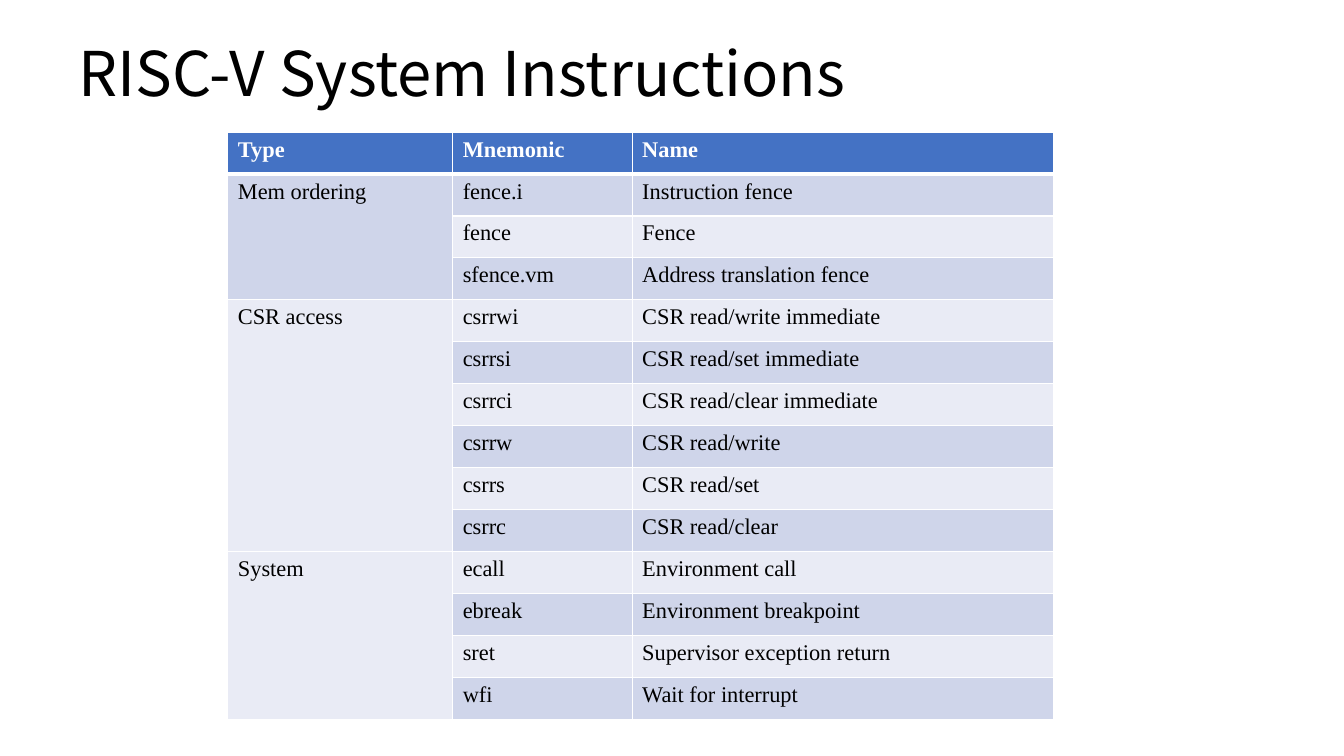
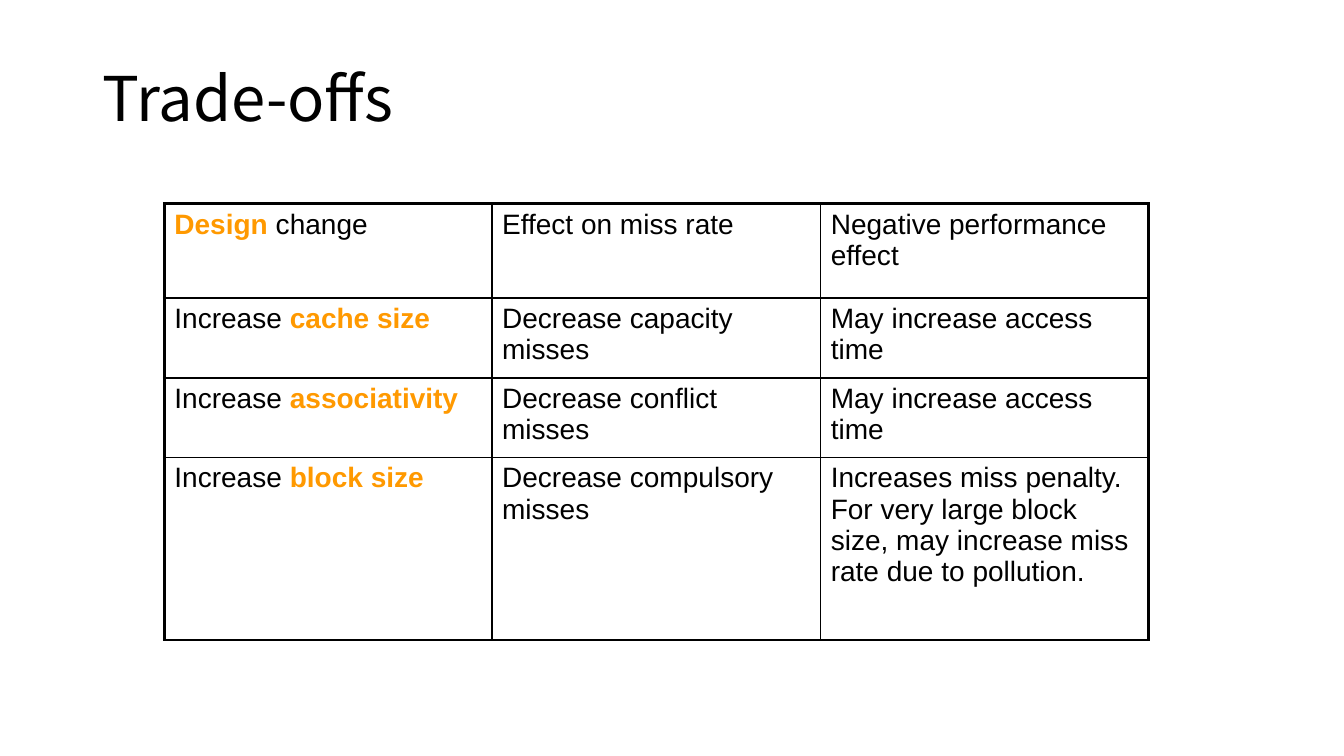
"""Builds two slides: RISC-V system instructions and cache design trade-offs."""
from dataclasses import dataclass

from lxml import etree
from pptx import Presentation
from pptx.dml.color import RGBColor
from pptx.enum import text as t
from pptx.oxml import ns
from pptx.util import Inches, Pt

BLACK = RGBColor(0x00, 0x00, 0x00)
WHITE = RGBColor(0xFF, 0xFF, 0xFF)
BLUE = RGBColor(0x44, 0x72, 0xC4)
BAND_DARK = RGBColor(0xCF, 0xD5, 0xEA)
BAND_LIGHT = RGBColor(0xE9, 0xEB, 0xF5)
ORANGE = RGBColor(0xFF, 0x99, 0x00)
TITLE_FONT = "Noto Sans CJK SC"

INSTRUCTIONS = {
    "Mem ordering": [
        ("fence.i", "Instruction fence"),
        ("fence", "Fence"),
        ("sfence.vm", "Address translation fence"),
    ],
    "CSR access": [
        ("csrrwi", "CSR read/write immediate"),
        ("csrrsi", "CSR read/set immediate"),
        ("csrrci", "CSR read/clear immediate"),
        ("csrrw", "CSR read/write"),
        ("csrrs", "CSR read/set"),
        ("csrrc", "CSR read/clear"),
    ],
    "System": [
        ("ecall", "Environment call"),
        ("ebreak", "Environment breakpoint"),
        ("sret", "Supervisor exception return"),
        ("wfi", "Wait for interrupt"),
    ],
}
TRADE_OFFS = [
    ("*Design* change", "Effect on miss rate", "Negative performance effect"),
    ("Increase *cache size*", "Decrease capacity misses", "May increase access time"),
    ("Increase *associativity*", "Decrease conflict misses", "May increase access time"),
    ("Increase* block size*", "Decrease compulsory misses",
     "Increases miss penalty. For very large block size, "
     "may increase miss rate due to pollution."),
]


@dataclass(frozen=True)
class Grid:
    """Place, sizes in inches, and rule widths in points of a table."""
    left: float
    top: float
    columns: list[float]
    rows: list[float]
    column_rules: list[float]
    row_rules: list[float]
    rule_color: RGBColor
    font: str
    size: float
    banded: bool = False


INSTRUCTION_GRID = Grid(
    2.26, 1.31, [2.23, 1.78, 4.18], [5.83 / 14] * 14,
    [1] * 4, [1, 3] + [1] * 13, WHITE, "Times New Roman", 16, banded=True)
TRADE_OFF_GRID = Grid(
    1.63, 2.02, [3.25, 3.26, 3.25], [0.94, 0.79, 0.79, 1.81],
    [2.25, 1, 1, 2.25], [2.25, 1.5, 1, 1, 2.25], BLACK, "Arial", 20)


def write(frame, content: str, *, font: str, size: float, color: RGBColor = BLACK,
          bold: bool = False, spacing: float | None = None) -> None:
    """Write one paragraph; parts between asterisks are bold orange."""
    paragraph = frame.paragraphs[0]
    paragraph.alignment = t.PP_ALIGN.LEFT
    paragraph.line_spacing = spacing
    for index, part in enumerate(content.split("*")):
        if not part:
            continue
        accented = index % 2 == 1
        run = paragraph.add_run()
        run.text = part
        run.font.name = font
        run.font.size = Pt(size)
        run.font.bold = bold or accented
        run.font.color.rgb = ORANGE if accented else color


def add_title(slide, title: str, left: float, top: float, width: float, height: float) -> None:
    """Add a slide title, centred vertically in its box."""
    frame = slide.shapes.add_textbox(
        Inches(left), Inches(top), Inches(width), Inches(height)).text_frame
    frame.word_wrap = True
    frame.vertical_anchor = t.MSO_ANCHOR.MIDDLE
    write(frame, title, font=TITLE_FONT, size=44, spacing=0.9)


def rule_cell(cell, widths: dict[str, float], color: RGBColor) -> None:
    """Draw the borders of a cell, ahead of its fill."""
    properties = cell._tc.get_or_add_tcPr()
    for position, (side, width) in enumerate(widths.items()):
        line = etree.Element(ns.qn(f"a:ln{side}"), w=str(Pt(width)))
        fill = etree.SubElement(line, ns.qn("a:solidFill"))
        etree.SubElement(fill, ns.qn("a:srgbClr"), val=str(color))
        properties.insert(position, line)


def fill_cell(cell, row: int, banded: bool) -> None:
    """Fill a cell by its row, or leave it clear."""
    if not banded:
        cell.fill.background()
        return
    cell.fill.solid()
    band = BAND_DARK if row % 2 else BAND_LIGHT
    cell.fill.fore_color.rgb = BLUE if row == 0 else band


def add_grid(slide, grid: Grid, entries: list[tuple[str, ...]]):
    """Add a ruled table holding the entries and return it."""
    table = slide.shapes.add_table(
        len(grid.rows), len(grid.columns), Inches(grid.left), Inches(grid.top),
        Inches(sum(grid.columns)), Inches(sum(grid.rows))).table
    table.first_row = table.horz_banding = False
    for column, width in zip(table.columns, grid.columns):
        column.width = Inches(width)
    for r, (height, entry) in enumerate(zip(grid.rows, entries)):
        table.rows[r].height = Inches(height)
        heading = grid.banded and r == 0
        for c, content in enumerate(entry):
            cell = table.cell(r, c)
            fill_cell(cell, r, grid.banded)
            rule_cell(cell, {"L": grid.column_rules[c], "R": grid.column_rules[c + 1],
                             "T": grid.row_rules[r], "B": grid.row_rules[r + 1]},
                      grid.rule_color)
            write(cell.text_frame, content, font=grid.font, size=grid.size,
                  color=WHITE if heading else BLACK, bold=heading)
    return table


def add_instructions(slide) -> None:
    """Add the instruction table, merging each type over its instructions."""
    entries = [("Type", "Mnemonic", "Name")]
    for kind, instructions in INSTRUCTIONS.items():
        entries += [("" if i else kind, *pair) for i, pair in enumerate(instructions)]
    table = add_grid(slide, INSTRUCTION_GRID, entries)
    first = 1
    for instructions in INSTRUCTIONS.values():
        last = first + len(instructions) - 1
        table.cell(first, 0).merge(table.cell(last, 0))
        first = last + 1


def main() -> None:
    """Build and save the presentation."""
    deck = Presentation()
    deck.slide_width, deck.slide_height = Inches(13.33), Inches(7.5)
    blank = deck.slide_layouts[6]

    system = deck.slides.add_slide(blank)
    add_title(system, "RISC-V System Instructions", 0.68, 0.03, 11.5, 1.45)
    add_instructions(system)

    cache = deck.slides.add_slide(blank)
    add_title(cache, "Trade-offs", 0.92, 0.4, 3.94, 1.22)
    add_grid(cache, TRADE_OFF_GRID, TRADE_OFFS)

    deck.save("out.pptx")


if __name__ == "__main__":
    main()
